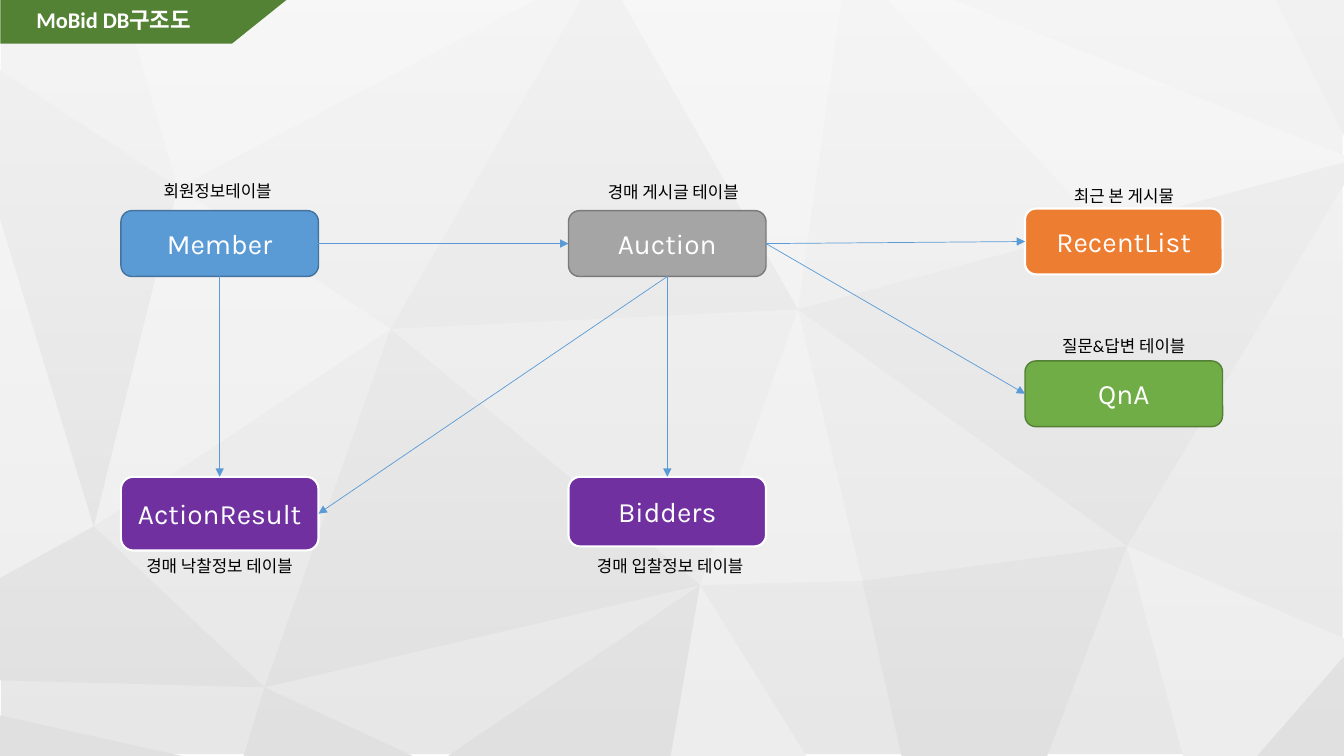
from pptx import Presentation
from pptx.dml.color import RGBColor
from pptx.enum.shapes import MSO_CONNECTOR as Connector, MSO_SHAPE as Preset
from pptx.enum.text import MSO_ANCHOR as Anchor, PP_ALIGN as Align
from pptx.oxml.ns import qn
from pptx.util import Pt
from lxml.etree import SubElement

TITLE = "MoBid DB구조도"

TABLES = {
    "Member": (86.4, 150.5, 47, "5B9BD5", "43739E", 1),
    "RecentList": (732.2, 149, 47, "ED7D31", "FFFFFF", 1.5),
    "Bidders": (406.1, 340.6, 49.7, "7030A0", "FFFFFF", 1.5),
    "Auction": (406.1, 150.5, 47, "A5A5A5", "7A7A7A", 1),
    "ActionResult": (86.4, 340.6, 52.6, "7030A0", "FFFFFF", 1.5),
    "QnA": (732.2, 257.8, 47, "70AD47", "538035", 1),
}
CAPTIONS = [
    ("회원정보테이블", 103.7, 125.3, 103.7),
    ("경매 게시글 테이블", 419.8, 126, 122.4),
    ("최근 본 게시물", 751, 128.9, 103.7),
    ("질문&답변 테이블", 746.6, 236.2, 112.3),
    ("경매 입찰정보 테이블", 406.1, 393.1, 145.4),
    ("경매 낙찰정보 테이블", 84.2, 393.1, 145.4),
]
TOP, LEFT, BOTTOM, RIGHT = range(4)
RELATIONS = [
    ("Auction", BOTTOM, "Bidders", TOP),
    ("Auction", RIGHT, "RecentList", LEFT),
    ("Auction", BOTTOM, "ActionResult", RIGHT),
    ("Member", BOTTOM, "ActionResult", TOP),
    ("Member", RIGHT, "Auction", LEFT),
    ("Auction", RIGHT, "QnA", LEFT),
]

WEST, NORTHWEST, SOUTHWEST = (67, 376), (127, 134), (189, 491)
CENTER, MIDDLE, SOUTH = (279, 235), (570, 221), (500, 418)
SOUTHEAST, EAST, NORTHEAST = (616, 415), (805, 390), (788, 163)
FACETS = {
    "light": [
        [SOUTH, (479, 540), (576, 540)],
        [MIDDLE, SOUTH, SOUTHEAST],
        [EAST, (845, 540), (898, 540), (960, 469), (960, 456)],
        [(0, 156), (0, 413), WEST],
        [(634, 0), NORTHEAST, (960, 116), (960, 111), (681, 0)],
        [WEST, CENTER, NORTHWEST],
        [(88, 0), NORTHWEST, (382, 0)],
        [(444, 0), MIDDLE, (601, 0)],
    ],
    "dark": [
        [WEST, (0, 413), (0, 486), SOUTHWEST],
        [SOUTHWEST, (174, 540), (295, 540)],
        [(960, 469), (898, 540), (960, 540)],
        [(0, 511), (0, 540), (130, 540)],
        [EAST, SOUTHEAST, (644, 540), (748, 540)],
        [SOUTH, (320, 540), (479, 540)],
        [(960, 116), MIDDLE, EAST, (960, 132)],
        [SOUTH, CENTER, SOUTHWEST],
        [(911, 0), (960, 97), (960, 0)],
        [(0, 50), (0, 156), WEST, NORTHWEST],
        [(415, 0), CENTER, MIDDLE, (444, 0)],
    ],
}

THEME = {
    "base": "E7E7E7", "light": "EDEDED", "dark": "E0E0E0", "white": "FFFFFF",
    "banner": "548235", "arrow": "5B9BD5", "black": "000000",
    "text_font": "Calibri", "table_font": "Karla",
    "title_size": 16, "table_size": 20, "caption_size": 12,
}
SLIDE_WIDTH, SLIDE_HEIGHT = 960, 540
TABLE_WIDTH, CAPTION_HEIGHT = 141.1, 21.6


def apply(target, values):
    for name, value in values.items():
        setattr(target, name, value)


def place(shape, *box):
    apply(shape, dict(zip(("left", "top", "width", "height"), map(Pt, box))))


def paint(shape, fill, line=None, weight=1):
    shape.shadow.inherit = False
    shape.fill.solid()
    shape.fill.fore_color.rgb = RGBColor.from_string(fill)
    if line:
        shape.line.color.rgb = RGBColor.from_string(line)
        shape.line.width = Pt(weight)
    else:
        shape.line.fill.background()


def write(shape, text, size, font, color, alignment, anchor, bold=False):
    apply(shape.text_frame, {"text": text, "word_wrap": False, "vertical_anchor": anchor})
    paragraph = shape.text_frame.paragraphs[0]
    paragraph.alignment = alignment
    apply(paragraph.runs[0].font, {"name": font, "size": Pt(size), "bold": bold})
    paragraph.runs[0].font.color.rgb = RGBColor.from_string(color)
    return paragraph


def add_preset(shapes, preset, *box):
    return shapes.add_shape(preset, *map(Pt, box))


def draw_background(shapes):
    paint(add_preset(shapes, Preset.RECTANGLE, 0.7, 0, 958.3, 538.6), THEME["base"])
    for tone, facets in FACETS.items():
        for start, *others in facets:
            builder = shapes.build_freeform(*start, scale=Pt(1))
            builder.add_line_segments(others, close=True)
            paint(builder.convert_to_shape(), THEME[tone])
    veil = add_preset(shapes, Preset.RECTANGLE, 0, 0, SLIDE_WIDTH, SLIDE_HEIGHT)
    paint(veil, THEME["white"])
    veil.fill.gradient()
    veil.fill.gradient_angle = 270
    for stop, position, opacity in zip(veil.fill.gradient_stops, (0, 1), (60000, 0)):
        stop.position = position
        stop.color.rgb = RGBColor.from_string(THEME["white"])
    for color, opacity in zip(veil._element.spPr.iter(qn("a:srgbClr")), (60000, 0)):
        SubElement(color, qn("a:alpha"), val=str(opacity))


def draw_title(slide):
    banner = add_preset(slide.shapes, Preset.FLOWCHART_MANUAL_INPUT, 87.1, -88.6, 33.1, 206.6)
    paint(banner, THEME["banner"])
    banner.rotation = 90
    banner._element.spPr.find(qn("a:xfrm")).set("flipH", "1")
    title = slide.shapes.title
    place(title, 18.7, -0.7, 154.1, 32.4)
    paragraph = write(title, TITLE, THEME["title_size"], THEME["text_font"], THEME["white"],
                      Align.LEFT, Anchor.MIDDLE, True)
    paragraph.line_spacing = 0.9
    banner._element.addnext(title._element)


def draw_tables(shapes):
    boxes = {}
    for name, (left, top, height, fill, line, weight) in TABLES.items():
        box = add_preset(shapes, Preset.ROUNDED_RECTANGLE, left, top, TABLE_WIDTH, height)
        paint(box, fill, line, weight)
        write(box, name, THEME["table_size"], THEME["table_font"], THEME["white"],
              Align.CENTER, Anchor.MIDDLE)
        boxes[name] = box
    return boxes


def draw_relations(shapes, boxes):
    for source, source_side, target, target_side in RELATIONS:
        arrow = shapes.add_connector(Connector.STRAIGHT, 0, 0, 0, 0)
        arrow.begin_connect(boxes[source], source_side)
        arrow.end_connect(boxes[target], target_side)
        arrow.line.color.rgb = RGBColor.from_string(THEME["arrow"])
        arrow.line.width = Pt(0.5)
        SubElement(arrow.line._get_or_add_ln(), qn("a:tailEnd"), type="triangle")
        SubElement(arrow._element.spPr, qn("a:effectLst"))


def draw_captions(shapes):
    for text, left, top, width in CAPTIONS:
        caption = shapes.add_textbox(*map(Pt, (left, top, width, CAPTION_HEIGHT)))
        write(caption, text, THEME["caption_size"], THEME["text_font"], THEME["black"],
              Align.CENTER, Anchor.TOP)


def main():
    presentation = Presentation()
    apply(presentation, {"slide_width": Pt(SLIDE_WIDTH), "slide_height": Pt(SLIDE_HEIGHT)})
    slide = presentation.slides.add_slide(presentation.slide_layouts[5])
    draw_background(slide.shapes)
    draw_title(slide)
    draw_relations(slide.shapes, draw_tables(slide.shapes))
    draw_captions(slide.shapes)
    presentation.save("out.pptx")


if __name__ == "__main__":
    main()
